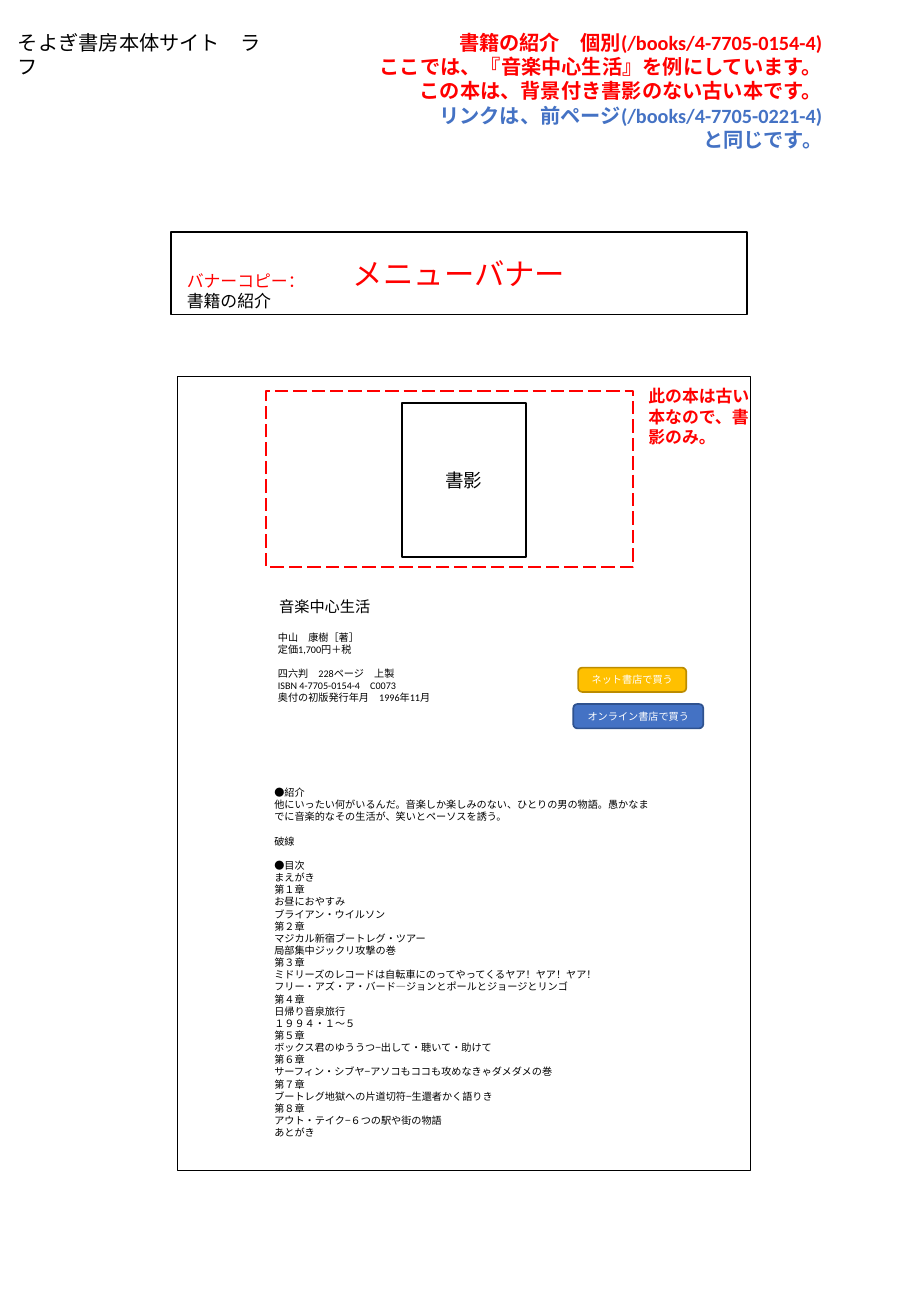
"""Builds the rough layout of a publisher's page for a single book."""
from pptx import Presentation
from pptx.dml.color import RGBColor
from pptx.enum.dml import MSO_LINE
from pptx.enum.shapes import MSO_SHAPE
from pptx.enum.text import MSO_ANCHOR, MSO_AUTO_SIZE, PP_ALIGN
from pptx.util import Inches, Pt

RECTANGLE, ROUNDED = MSO_SHAPE.RECTANGLE, MSO_SHAPE.ROUNDED_RECTANGLE
LEFT, CENTER, RIGHT = PP_ALIGN.LEFT, PP_ALIGN.CENTER, PP_ALIGN.RIGHT
MIDDLE = MSO_ANCHOR.MIDDLE
GROW = MSO_AUTO_SIZE.SHAPE_TO_FIT_TEXT
LONG_DASH = MSO_LINE.LONG_DASH
BLACK, WHITE, RED, BLUE = "000000", "FFFFFF", "FF0000", "4472C4"
SECTION_GAP = 7.2


def add_text(box, groups, size, bold=False, align=LEFT, gap=0):
    """Writes groups of (colour, lines), with a gap in points between groups."""
    frame = box.text_frame
    frame.word_wrap = True
    paragraph = None
    for colour, lines in groups:
        for index, line in enumerate(lines):
            between_groups = paragraph is not None and index == 0
            paragraph = frame.add_paragraph() if paragraph else frame.paragraphs[0]
            paragraph.text = line
            paragraph.alignment = align
            paragraph.space_before = Pt(gap if between_groups else 0)
            paragraph.font.name = "Calibri"
            paragraph.font.size = Pt(size)
            paragraph.font.bold = bold
            paragraph.font.color.rgb = RGBColor.from_string(colour)


def add_box(kind, position, fill, line, width):
    """Adds a shape with a plain fill and outline."""
    shape = slide.shapes.add_shape(kind, *map(Inches, position))
    shape.shadow.inherit = False
    if fill:
        shape.fill.solid()
        shape.fill.fore_color.rgb = RGBColor.from_string(fill)
    else:
        shape.fill.background()
    shape.line.color.rgb = RGBColor.from_string(line)
    shape.line.width = Pt(width)
    shape.text_frame.vertical_anchor = MIDDLE
    return shape


presentation = Presentation()
presentation.slide_width = Inches(7.5)
presentation.slide_height = Inches(10.84)
slide = presentation.slides.add_slide(presentation.slide_layouts[6])

menu_banner = add_box(RECTANGLE, (1.41, 1.91, 4.74, 0.68), WHITE, BLACK, 1)
add_text(menu_banner, [(RED, ["メニューバナー"])], 18, align=CENTER)

add_box(RECTANGLE, (1.46, 3.1, 4.72, 6.54), WHITE, BLACK, 0.25)

buttons = [
    ((4.76, 5.5, 0.89, 0.2), "FFC000", "BC8C00", "ネット書店で買う"),
    ((4.72, 5.8, 1.07, 0.2), BLUE, "2F528F", "オンライン書店で買う"),
]
for position, fill, line, label in buttons:
    button = add_box(ROUNDED, position, fill, line, 1)
    add_text(button, [(WHITE, [label])], 6, align=CENTER)

cover = add_box(RECTANGLE, (3.31, 3.32, 1.02, 1.27), WHITE, BLACK, 1)
add_text(cover, [(BLACK, ["書影"])], 11, align=CENTER)

cover_area = add_box(RECTANGLE, (2.19, 3.22, 3.02, 1.45), None, RED, 1)
cover_area.line.dash_style = LONG_DASH

page_notes = [
    (RED, [
        "書籍の紹介　個別(/books/4-7705-0154-4)",
        "ここでは、『音楽中心生活』を例にしています。",
        "この本は、背景付き書影のない古い本です。",
    ]),
    (BLUE, ["リンクは、前ページ(/books/4-7705-0221-4)", "と同じです。"]),
]
book_details = [
    (BLACK, ["中山　康樹［著］", "定価1,700円＋税"]),
    (BLACK, [
        "四六判　228ページ　上製",
        "ISBN 4-7705-0154-4　C0073",
        "奥付の初版発行年月　1996年11月",
    ]),
]
book_contents = [
    (BLACK, [
        "●紹介",
        "他にいったい何がいるんだ。音楽しか楽しみのない、ひとりの男の物語。"
        "愚かなまでに音楽的なその生活が、笑いとペーソスを誘う。",
    ]),
    (BLACK, ["破線"]),
    (BLACK, [
        "●目次",
        "まえがき",
        "第１章",
        "お昼におやすみ",
        "ブライアン・ウイルソン",
        "第２章",
        "マジカル新宿ブートレグ・ツアー",
        "局部集中ジックリ攻撃の巻",
        "第３章",
        "ミドリーズのレコードは自転車にのってやってくるヤア！ヤア！ヤア！",
        "フリー・アズ・ア・バード—ジョンとポールとジョージとリンゴ",
        "第４章",
        "日帰り音泉旅行",
        "１９９４・１〜５",
        "第５章",
        "ボックス君のゆううつ−出して・聴いて・助けて",
        "第６章",
        "サーフィン・シブヤ−アソコもココも攻めなきゃダメダメの巻",
        "第７章",
        "ブートレグ地獄への片道切符−生還者かく語りき",
        "第８章",
        "アウト・テイク−６つの駅や街の物語",
        "あとがき",
    ]),
]
text_boxes = [
    ((0.05, 0.2, 2.36, 0.3), [(BLACK, ["そよぎ書房本体サイト　ラフ"])], 12, False, LEFT),
    ((1.44, 2.18, 4.88, 0.44),
     [(RED, ["バナーコピー："]), (BLACK, ["書籍の紹介"])], 10, False, LEFT),
    ((0.31, 0.2, 6.56, 1.3), page_notes, 12, True, RIGHT),
    ((2.2, 4.87, 2.44, 0.25), [(BLACK, ["音楽中心生活"])], 9, False, LEFT),
    ((5.24, 3.13, 1.07, 0.77),
     [(RED, ["此の本は古い", "本なので、書影のみ。"])], 10, True, LEFT),
    ((2.19, 5.15, 2.33, 0.7), book_details, 6, False, LEFT, SECTION_GAP),
    ((2.16, 6.43, 3.35, 3), book_contents, 6, False, LEFT, SECTION_GAP),
]
for position, *text_settings in text_boxes:
    text_box = slide.shapes.add_textbox(*map(Inches, position))
    add_text(text_box, *text_settings)
    text_box.text_frame.auto_size = GROW

presentation.save("out.pptx")
